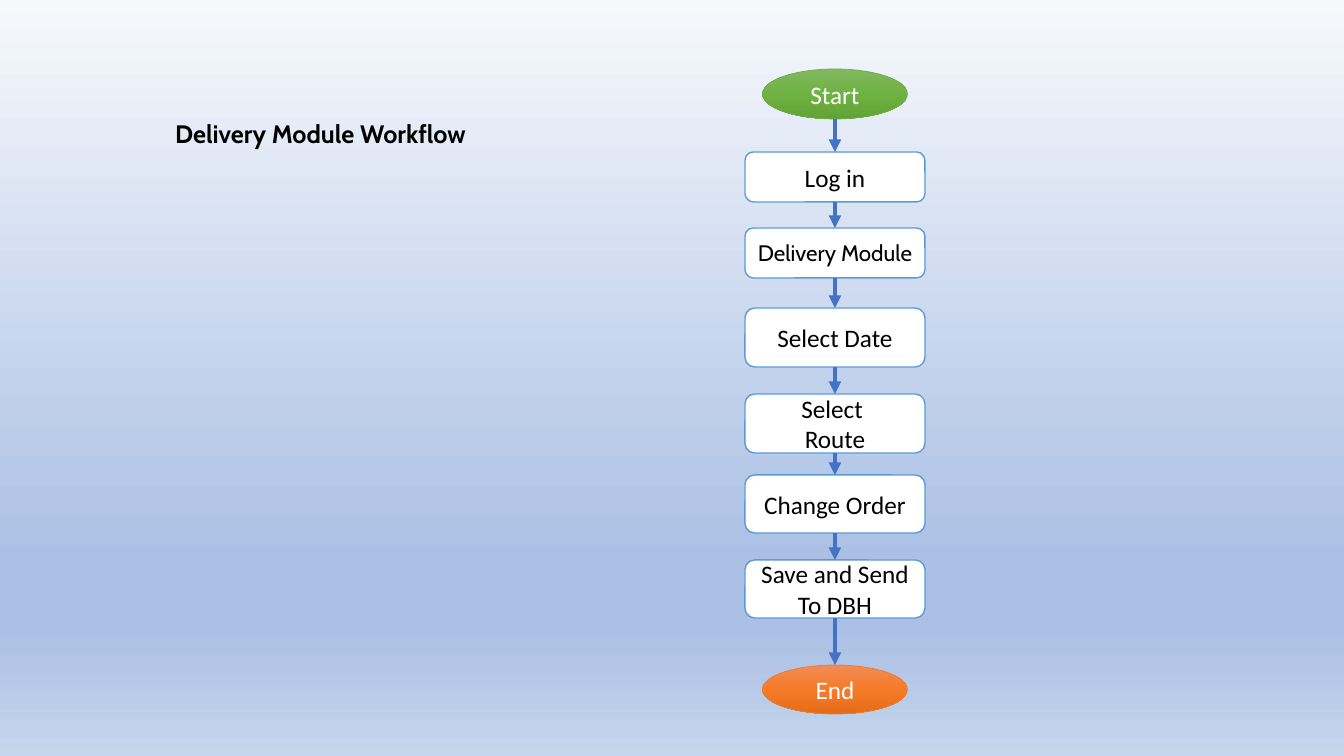
from lxml import etree
from pptx import Presentation
from pptx.dml.color import RGBColor
from pptx.enum.shapes import MSO_CONNECTOR, MSO_SHAPE
from pptx.enum.text import MSO_ANCHOR, MSO_AUTO_SIZE, PP_ALIGN
from pptx.oxml.ns import qn
from pptx.util import Emu, Pt

OVAL, ROUNDED = MSO_SHAPE.OVAL, MSO_SHAPE.ROUNDED_RECTANGLE
STRAIGHT = MSO_CONNECTOR.STRAIGHT
CENTER, LEFT = PP_ALIGN.CENTER, PP_ALIGN.LEFT
MIDDLE, TOP = MSO_ANCHOR.MIDDLE, MSO_ANCHOR.TOP

COLORS = {
    "black": "000000",
    "white": "FFFFFF",
    "arrow": "4472C4",
    "step_line": "5B9BD5",
    "start_line": "70AD47",
    "end_line": "ED7D31",
}
GRADIENTS = {
    "page": [(0, "F6F8FC"), (74, "ABC0E4"), (83, "ABC0E4"), (100, "C7D5ED")],
    "start": [(0, "81B861"), (50, "6FB242"), (100, "62A336")],
    "end": [(0, "F18C57"), (50, "F67B28"), (100, "E56C19")],
}
TITLE = "Delivery Module Workflow"
TITLE_BOX = (165, 113, 313, 40)
KINDS = {
    "start": (OVAL, 145, "start_line", 0.5, "white"),
    "step": (ROUNDED, 180, "step_line", 1, "black"),
    "end": (OVAL, 145, "end_line", 0.5, "white"),
}
NODES = [
    ("Start", "start", 69, 50, "Calibri", 18),
    ("Log in", "step", 152, 50, "Calibri", 18),
    ("Delivery Module", "step", 228, 50, "Cabin", 16),
    ("Select Date", "step", 308, 59, "Calibri", 18),
    ("Select \nRoute", "step", 394, 59, "Calibri", 18),
    ("Change Order", "step", 475, 58, "Calibri", 18),
    ("Save and Send To DBH", "step", 560, 58, "Calibri", 18),
    ("End", "end", 665, 49, "Calibri", 18),
]
FLOW_CENTER = 835


def px(length):
    return Emu(round(length * 914400 / 100.8))


def rgb(name):
    return RGBColor.from_string(COLORS[name])


def fill_gradient(fill, element, stops):
    fill.gradient()
    fill.gradient_angle = 270
    stop_list = next(element.iter(qn("a:gsLst")))
    for stop in list(stop_list):
        stop_list.remove(stop)
    for position, color in stops:
        stop = etree.SubElement(stop_list, qn("a:gs"), pos=str(position * 1000))
        etree.SubElement(stop, qn("a:srgbClr"), val=color)


def write_text(shape, text, font, size, color, align, anchor, bold=False):
    frame = shape.text_frame
    frame.text = text
    frame.vertical_anchor = anchor
    for para in frame.paragraphs:
        para.alignment = align
        for span in para.runs:
            span.font.name = font
            span.font.size = Pt(size)
            span.font.bold = bold
            span.font.color.rgb = rgb(color)


def add_title(page):
    title = page.shapes.title
    title.left, title.top, title.width, title.height = map(px, TITLE_BOX)
    write_text(title, TITLE, "Cabin", 18, "black", LEFT, TOP, bold=True)
    title.text_frame.word_wrap = False
    title.text_frame.auto_size = MSO_AUTO_SIZE.SHAPE_TO_FIT_TEXT


def add_node(page, text, kind, top, height, font, size):
    preset, width, line_color, line_width, text_color = KINDS[kind]
    left = FLOW_CENTER - width / 2
    node = page.shapes.add_shape(preset, px(left), px(top), px(width), px(height))
    node.shadow.inherit = False
    if kind in GRADIENTS:
        fill_gradient(node.fill, node.element, GRADIENTS[kind])
    else:
        node.fill.solid()
        node.fill.fore_color.rgb = rgb("white")
    node.line.color.rgb = rgb(line_color)
    node.line.width = Pt(line_width)
    write_text(node, text, font, size, text_color, CENTER, MIDDLE)


def add_arrow(page, start, end):
    center = px(FLOW_CENTER)
    arrow = page.shapes.add_connector(STRAIGHT, center, px(start), center, px(end))
    arrow.line.color.rgb = rgb("arrow")
    arrow.line.width = Pt(3)
    etree.SubElement(arrow.line._get_or_add_ln(), qn("a:tailEnd"), type="triangle")
    etree.SubElement(arrow.element.spPr, qn("a:effectLst"))


def main():
    deck = Presentation()
    deck.slide_width, deck.slide_height = px(1344), px(756)
    page = deck.slides.add_slide(deck.slide_layouts[5])
    fill_gradient(page.background.fill, page.element, GRADIENTS["page"])
    add_title(page)
    for node in NODES:
        add_node(page, *node)
    for upper, lower in zip(NODES, NODES[1:]):
        add_arrow(page, upper[2] + upper[3], lower[2])
    deck.save("out.pptx")


if __name__ == "__main__":
    main()
